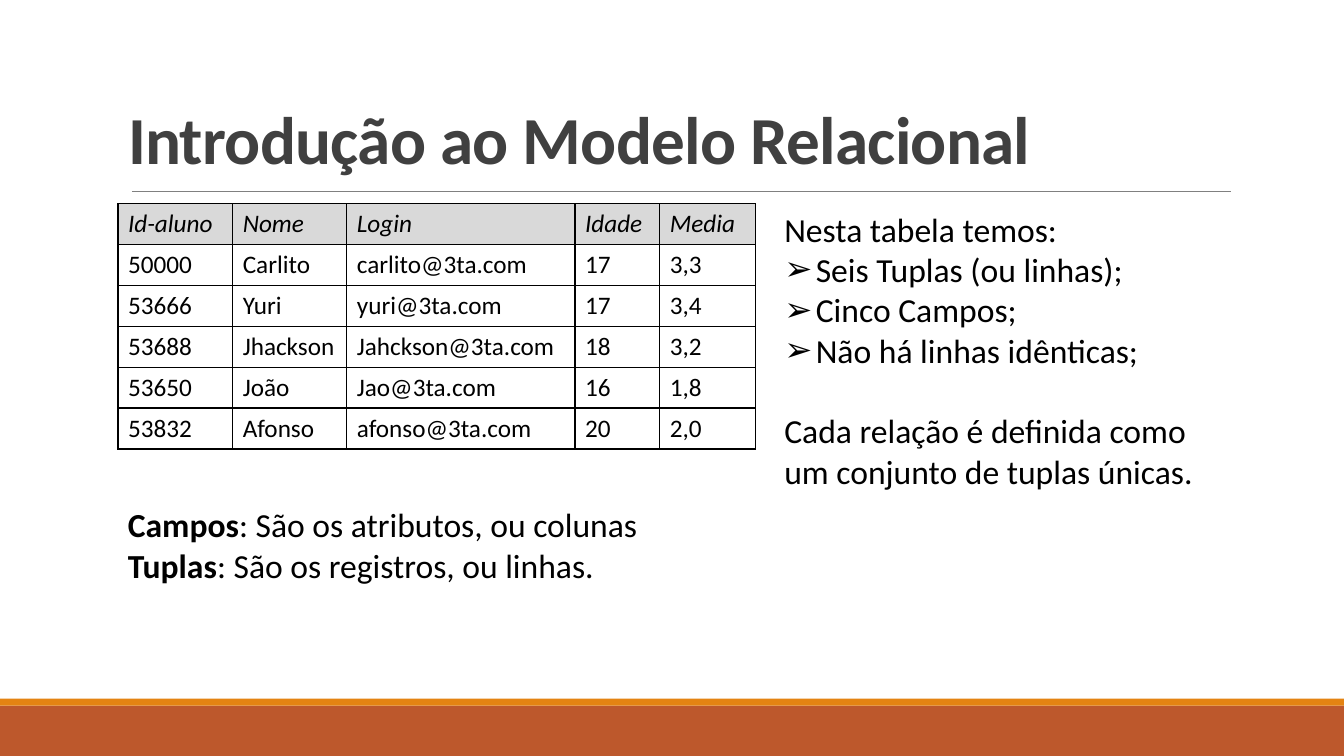
import lxml.etree
import pptx
import pptx.dml.color
import pptx.enum.shapes
import pptx.enum.text
import pptx.oxml.ns
import pptx.util

Pt = pptx.util.Pt
RGB = pptx.dml.color.RGBColor
qn = pptx.oxml.ns.qn
TEXT = pptx.enum.text

BLACK = RGB(0x00, 0x00, 0x00)
TITLE_GRAY = RGB(0x40, 0x40, 0x40)
RULE_GRAY = RGB(0x80, 0x80, 0x80)
HEADER_GRAY = RGB(0xD9, 0xD9, 0xD9)
ORANGE = RGB(0xE4, 0x83, 0x12)
RUST = RGB(0xBD, 0x58, 0x2C)

WIDTH, HEIGHT = 960, 540
LEFT = 84.24
TOP = 145.5

STUDENTS = [
    ("Id-aluno", "Nome", "Login", "Idade", "Media"),
    ("50000", "Carlito", "carlito@3ta.com", "17", "3,3"),
    ("53666", "Yuri", "yuri@3ta.com", "17", "3,4"),
    ("53688", "Jhackson", "Jahckson@3ta.com", "18", "3,2"),
    ("53650", "João", "Jao@3ta.com", "16", "1,8"),
    ("53832", "Afonso", "afonso@3ta.com", "20", "2,0"),
]
COLUMN_WIDTHS = (82, 81.5, 163, 60.5, 68.5)
ROW_HEIGHT = 29.2


class Deck:
    """Holds the text style and the current slide."""

    def __init__(self, prs):
        self.font = {"name": "Calibri", "size": Pt(24), "bold": False, "italic": False}
        self.s = prs.slides.add_slide(prs.slide_layouts[1])

    def box(self, sp, left, top, width, height):
        for key, value in zip(("left", "top", "width", "height"),
                              (left, top, width, height)):
            setattr(sp, key, Pt(value))

    def run(self, p, text, color=BLACK, **changes):
        r = p.add_run()
        r.text = text
        for key, value in {**self.font, **changes}.items():
            setattr(r.font, key, value)
        r.font.color.rgb = color
        return r

    def paragraph(self, tf, first, **changes):
        p = tf.paragraphs[0] if first else tf.add_paragraph()
        layout = {"alignment": TEXT.PP_ALIGN.LEFT, "space_before": Pt(0), **changes}
        for key, value in layout.items():
            setattr(p, key, value)
        return p

    def bullet(self, p, char=None, indent=0):
        pPr = p._p.get_or_add_pPr()
        pPr.set("marL", str(Pt(indent)))
        pPr.set("indent", str(-Pt(indent)))
        if char:
            lxml.etree.SubElement(pPr, qn("a:buChar")).set("char", char)
        else:
            lxml.etree.SubElement(pPr, qn("a:buNone"))

    def band(self, top, height, color):
        sp = self.s.shapes.add_shape(pptx.enum.shapes.MSO_SHAPE.RECTANGLE,
                                     0, Pt(top), Pt(WIDTH), Pt(height))
        sp.shadow.inherit = False
        sp.fill.solid()
        sp.fill.fore_color.rgb = color
        sp.line.fill.background()

    def rule(self, x1, x2, y):
        line = self.s.shapes.add_connector(pptx.enum.shapes.MSO_CONNECTOR.STRAIGHT,
                                           Pt(x1), Pt(y), Pt(x2), Pt(y))
        line.line.color.rgb = RULE_GRAY
        line.line.width = Pt(0.5)
        lxml.etree.SubElement(line._element.spPr, qn("a:effectLst"))

    def title(self, text, *place):
        sp = self.s.shapes.title
        self.box(sp, *place)
        tf = sp.text_frame
        tf.vertical_anchor = TEXT.MSO_ANCHOR.BOTTOM
        tf.auto_size = TEXT.MSO_AUTO_SIZE.NONE
        p = self.paragraph(tf, True, line_spacing=0.85)
        r = self.run(p, text, TITLE_GRAY, size=Pt(48), bold=True)
        r._r.get_or_add_rPr().set("spc", "-50")

    def body(self, lines, *place):
        sp = self.s.placeholders[1]
        self.box(sp, *place)
        tf = sp.text_frame
        tf.auto_size = TEXT.MSO_AUTO_SIZE.NONE
        for i, (text, char, gap) in enumerate(lines):
            p = self.paragraph(tf, i == 0, space_before=Pt(gap))
            self.bullet(p, char, 22.5 if char else 0)
            self.run(p, text)

    def definitions(self, terms, *place):
        tf = self.s.shapes.add_textbox(*map(Pt, place)).text_frame
        tf.word_wrap = False
        for i, (term, meaning) in enumerate(terms):
            p = self.paragraph(tf, i == 0)
            self.run(p, term, bold=True)
            self.run(p, meaning)

    def borders(self, cell):
        tcPr = cell._tc.get_or_add_tcPr()
        for side in ("a:lnL", "a:lnR", "a:lnT", "a:lnB"):
            ln = lxml.etree.SubElement(tcPr, qn(side), w=str(Pt(1)))
            fill = lxml.etree.SubElement(ln, qn("a:solidFill"))
            lxml.etree.SubElement(fill, qn("a:srgbClr"), val=str(BLACK))

    def table(self, rows, widths, row_height, left, top):
        size = (sum(widths), row_height * len(rows))
        table = self.s.shapes.add_table(len(rows), len(widths), Pt(left), Pt(top),
                                        *map(Pt, size)).table
        table.first_row = table.horz_banding = False
        for column, width in zip(table.columns, widths):
            column.width = Pt(width)
        for i, row in enumerate(rows):
            table.rows[i].height = Pt(row_height)
            for j, text in enumerate(row):
                cell = table.cell(i, j)
                self.borders(cell)
                if i == 0:
                    cell.fill.solid()
                    cell.fill.fore_color.rgb = HEADER_GRAY
                else:
                    cell.fill.background()
                p = self.paragraph(cell.text_frame, True)
                self.run(p, text, size=Pt(18), italic=i == 0)


def main():
    prs = pptx.Presentation()
    prs.slide_width, prs.slide_height = Pt(WIDTH), Pt(HEIGHT)
    deck = Deck(prs)

    # Footer bands and title rule
    deck.band(504, 36, RUST)
    deck.band(499, 5, ORANGE)
    deck.rule(94.3, 879, 136.8)

    # Title
    deck.title("Introdução ao Modelo Relacional", LEFT, 16.5, 792, 114.5)

    # Student table
    deck.table(STUDENTS, COLUMN_WIDTHS, ROW_HEIGHT, LEFT, TOP)

    # Remarks beside the table: text, bullet, space before
    deck.body([
        ("Nesta tabela temos:", None, 0),
        ("Seis Tuplas (ou linhas);", "➢", 0),
        ("Cinco Campos;", "➢", 0),
        ("Não há linhas idênticas;", "➢", 0),
        ("Cada relação é definida como um conjunto de tuplas únicas.", None, 28.8),
    ], 553, TOP, 322.5, 211)

    # Definitions below the table
    deck.definitions([
        ("Campos", ": São os atributos, ou colunas"),
        ("Tuplas", ": São os registros, ou linhas."),
    ], LEFT, 356.5, 381.5, 65.5)

    prs.save("out.pptx")


if __name__ == "__main__":
    main()
